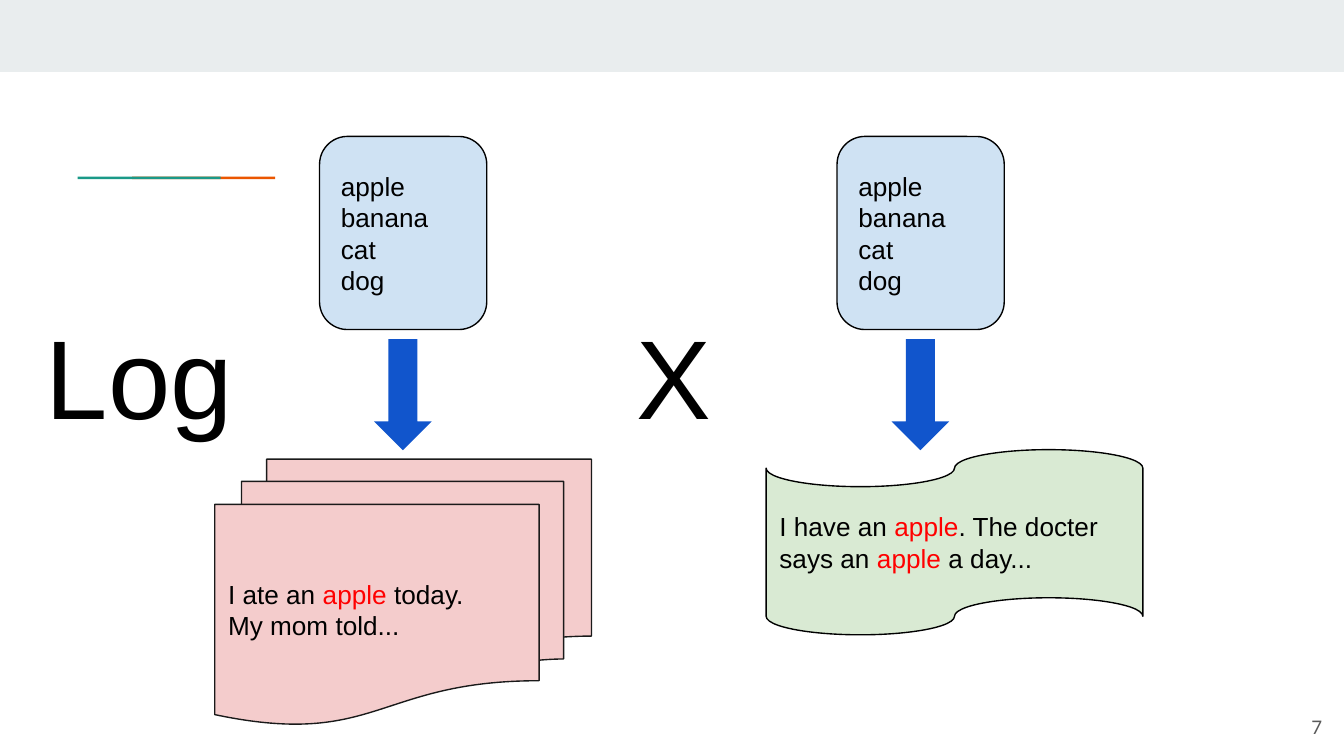
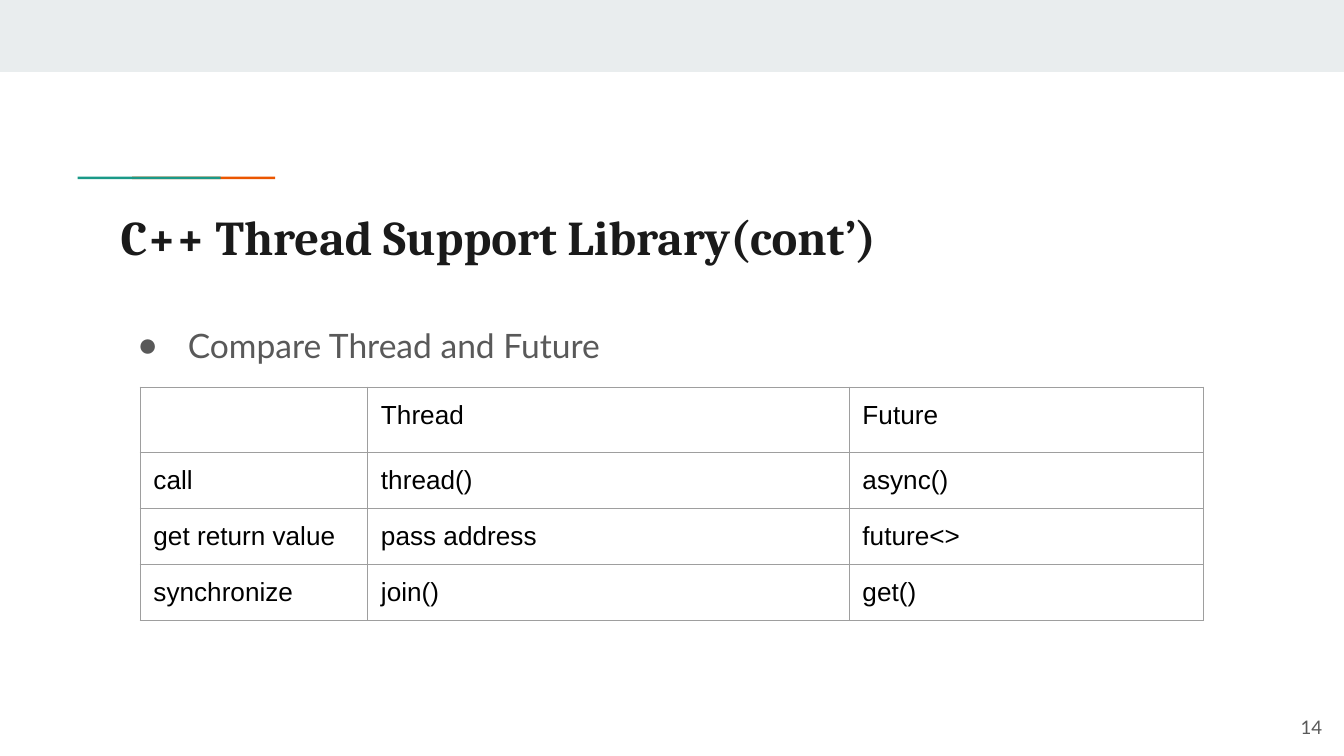
from lxml import etree
from pptx import Presentation
from pptx.dml.color import RGBColor
from pptx.enum.shapes import MSO_SHAPE
from pptx.enum.text import MSO_ANCHOR, MSO_AUTO_SIZE, PP_ALIGN
from pptx.oxml.ns import qn
from pptx.util import Cm, Pt

RECTANGLE = MSO_SHAPE.RECTANGLE
CARD = MSO_SHAPE.ROUNDED_RECTANGLE
ARROW = MSO_SHAPE.DOWN_ARROW
DOCUMENTS = MSO_SHAPE.FLOWCHART_MULTIDOCUMENT
TAPE = MSO_SHAPE.FLOWCHART_PUNCHED_TAPE
TOP, MIDDLE = MSO_ANCHOR.TOP, MSO_ANCHOR.MIDDLE
LEFT, RIGHT = PP_ALIGN.LEFT, PP_ALIGN.RIGHT
NO_AUTOFIT = MSO_AUTO_SIZE.NONE

TITLE_AND_BODY, BLANK = 1, 6
INSET = Cm(0.25)
COLORS = {
    "band": "E9EDEE", "teal": "1A9988", "orange": "EB5600",
    "card": "CFE2F3", "documents": "F4CCCC", "tape": "D9EAD3",
    "arrow": "1155CC", "black": "000000", "title": "1A1A1A",
    "gray": "595959", "red": "FF0000", "border": "9E9E9E",
}
WORDS = ["apple", "banana", "cat", "dog"]
CARD_LEFTS = [6.04, 15.82]
COMPARISON = [
    ["", "Thread", "Future"],
    ["call", "thread()", "async()"],
    ["get return value", "pass address", "future<>"],
    ["synchronize", "join()", "get()"],
]


def rgb(name):
    return RGBColor.from_string(COLORS[name])


def place(shape, left, top, width, height):
    shape.left, shape.top = Cm(left), Cm(top)
    shape.width, shape.height = Cm(width), Cm(height)


def add_span(para, text, size=14, font="Arial", color="black", bold=False):
    span = para.add_run()
    span.text = text
    span.font.size = Pt(size)
    span.font.name = font
    span.font.bold = bold
    span.font.color.rgb = rgb(color)


def prepare_frame(frame, anchor):
    frame.word_wrap = True
    frame.auto_size = NO_AUTOFIT
    frame.vertical_anchor = anchor
    frame.margin_left = frame.margin_right = INSET
    frame.margin_top = frame.margin_bottom = INSET


def write(frame, paragraphs, anchor=TOP, align=LEFT, **style):
    """Each paragraph is a list of (text, color) spans."""
    prepare_frame(frame, anchor)
    for index, spans in enumerate(paragraphs):
        para = frame.add_paragraph() if index else frame.paragraphs[0]
        para.alignment = align
        para.space_before = Pt(0)
        for text, color in spans:
            add_span(para, text, color=color, **style)


def add_figure(page, kind, bounds, fill, line=None):
    shape = page.shapes.add_shape(kind, *map(Cm, bounds))
    shape.shadow.inherit = False
    shape.fill.solid()
    shape.fill.fore_color.rgb = rgb(fill)
    if line:
        shape.line.color.rgb = rgb(line)
        shape.line.width = Pt(0.75)
    else:
        shape.line.fill.background()
    return shape


def add_label(page, bounds, text, color="black", **style):
    box = page.shapes.add_textbox(*map(Cm, bounds))
    write(box.text_frame, [[(text, color)]], **style)


def add_page(deck, layout, number):
    """Adds a slide with the shared band, accent line and slide number."""
    page = deck.slides.add_slide(deck.slide_layouts[layout])
    add_figure(page, RECTANGLE, (0, 0, 25.4, 1.36), "band")
    for left, color in ((2.5, "orange"), (1.47, "teal")):
        add_figure(page, RECTANGLE, (left, 3.34, 2.7, 0.05), color)
    add_label(page, (23.72, 13.2, 1.52, 1.09), str(number), "gray",
              anchor=MIDDLE, align=RIGHT, size=10, font="Lato")
    return page


def set_bullet(para, indent, hanging, color):
    properties = para._p.get_or_add_pPr()
    properties.set("marL", str(Cm(indent)))
    properties.set("indent", str(-Cm(hanging)))
    bullet_color = etree.SubElement(properties, qn("a:buClr"))
    etree.SubElement(bullet_color, qn("a:srgbClr"), val=COLORS[color])
    etree.SubElement(properties, qn("a:buChar"), char="●")


def set_borders(cell, color):
    properties = cell._tc.get_or_add_tcPr()
    for index, side in enumerate(("lnL", "lnR", "lnT", "lnB")):
        line = etree.Element(qn(f"a:{side}"), w=str(Pt(0.75)))
        fill = etree.SubElement(line, qn("a:solidFill"))
        etree.SubElement(fill, qn("a:srgbClr"), val=COLORS[color])
        properties.insert(index, line)


def fill_cell(cell, text):
    cell.margin_left = cell.margin_right = INSET
    cell.margin_top = cell.margin_bottom = INSET
    cell.fill.background()
    set_borders(cell, "border")
    para = cell.text_frame.paragraphs[0]
    if text:
        add_span(para, text)
    else:
        # keeps the empty line from stretching its row
        etree.SubElement(para._p, qn("a:endParaRPr"), sz="1400")


def add_grid(page, left, top, widths, heights, rows):
    bounds = (left, top, sum(widths), sum(heights))
    frame = page.shapes.add_table(len(rows), len(widths), *map(Cm, bounds))
    table = frame.table
    table.first_row = table.horz_banding = False
    for column, width in zip(table.columns, widths):
        column.width = Cm(width)
    for row, height, texts in zip(table.rows, heights, rows):
        row.height = Cm(height)
        for cell, text in zip(row.cells, texts):
            fill_cell(cell, text)


def build_likelihood(deck):
    page = add_page(deck, BLANK, 7)
    for left in CARD_LEFTS:
        card = add_figure(page, CARD, (left, 2.58, 3.16, 3.65), "card", "black")
        write(card.text_frame, [[(word, "black")] for word in WORDS], MIDDLE)

    documents = add_figure(page, DOCUMENTS, (4.06, 8.68, 7.12, 5.02),
                           "documents", "title")
    write(documents.text_frame, [
        [("I ate an ", "black"), ("apple", "red"), (" today.", "black")],
        [("My mom told...", "black")],
    ], MIDDLE)

    tape = add_figure(page, TAPE, (14.48, 8.5, 7.12, 3.5), "tape", "black")
    write(tape.text_frame, [[
        ("I have an ", "black"), ("apple", "red"),
        (". The docter says an ", "black"), ("apple", "red"),
        (" a day...", "black"),
    ]], MIDDLE)

    for left in CARD_LEFTS:
        add_figure(page, ARROW, (left + 1.03, 6.41, 1.09, 2.1), "arrow")
    add_label(page, (0.62, 5.56, 5, 1.32), "Log", size=60)
    add_label(page, (11.78, 5.56, 3, 1.32), "X", size=60)


def build_comparison(deck):
    page = add_page(deck, TITLE_AND_BODY, 14)
    title, body = page.placeholders
    place(title, 2.03, 3.66, 21.36, 1.5)
    write(title.text_frame, [[("C++ Thread Support Library(cont’)", "title")]],
          size=26, font="Cambria", bold=True)

    place(body, 2.03, 5.77, 21.36, 6.27)
    write(body.text_frame, [[("Compare Thread and Future", "gray")]],
          size=18, font="Lato")
    para = body.text_frame.paragraphs[0]
    para.line_spacing = 1.15
    set_bullet(para, 1.27, 0.95, "gray")

    add_grid(page, 2.65, 7.32, [4.3, 9.1, 6.7], [1.23] + [1.06] * 3,
             COMPARISON)


def main():
    deck = Presentation()
    deck.slide_width, deck.slide_height = Cm(25.4), Cm(14.29)
    build_likelihood(deck)
    build_comparison(deck)
    deck.save("out.pptx")


if __name__ == "__main__":
    main()
